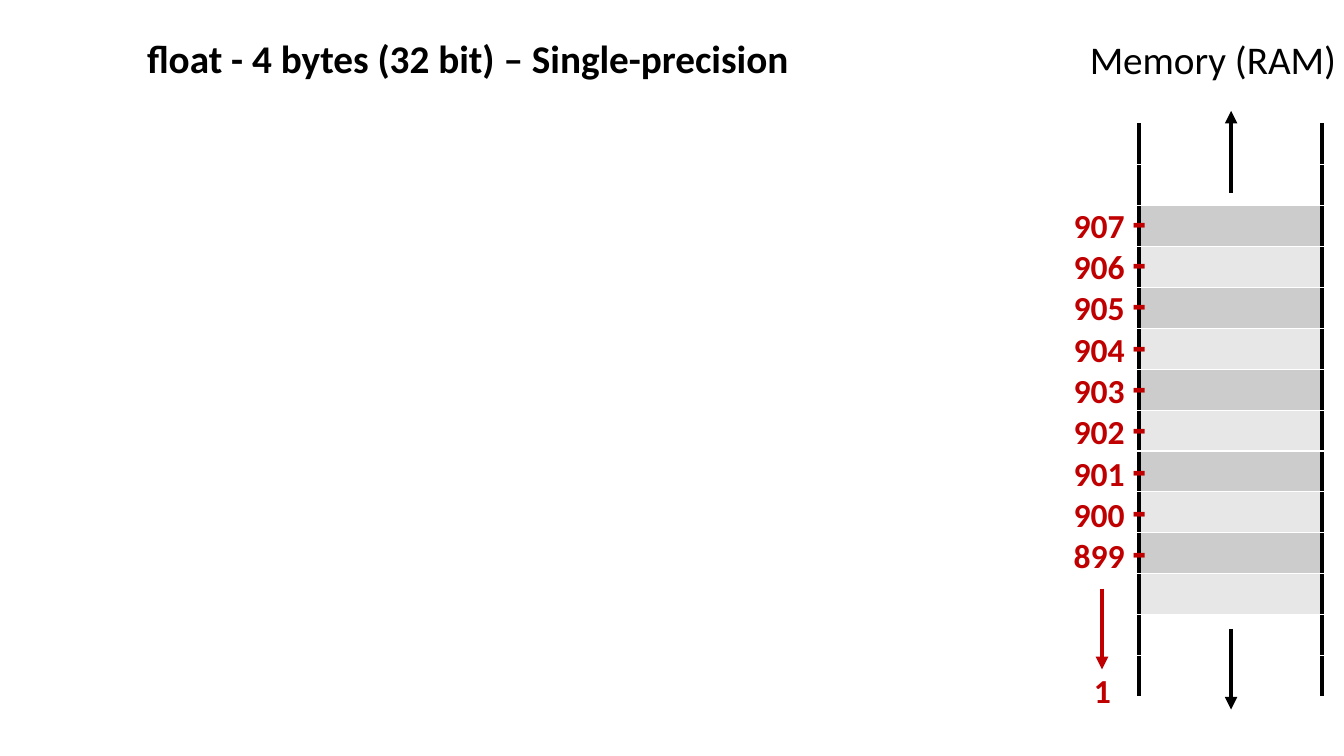
from dataclasses import dataclass

from lxml.etree import SubElement
from pptx import Presentation
from pptx.dml.color import RGBColor
from pptx.enum.shapes import MSO_CONNECTOR
from pptx.enum.text import MSO_AUTO_SIZE
from pptx.oxml import parse_xml
from pptx.oxml.ns import nsdecls, qn
from pptx.util import Inches, Pt


@dataclass(frozen=True)
class Theme:
    font: str = "Calibri"
    ink: str = "000000"
    address: str = "C00000"
    blank: str = "FFFFFF"
    dark_byte: str = "CCCCCC"
    light_byte: str = "E7E7E7"
    title_size: int = 28
    address_size: int = 24
    tick_size: int = 32
    heavy: int = 3
    thin: int = 1


class MemorySlide:
    def __init__(self, slide, theme):
        self.slide = slide
        self.theme = theme

    def label(self, left, top, width, height, parts, color, bold=False):
        """Add one line of text; parts holds (text, size) pairs."""
        box = self.slide.shapes.add_textbox(
            Inches(left), Inches(top), Inches(width), Inches(height))
        frame = box.text_frame
        frame.word_wrap = False
        frame.auto_size = MSO_AUTO_SIZE.SHAPE_TO_FIT_TEXT
        for text, size in parts:
            run = frame.paragraphs[0].add_run()
            run.text = text
            run.font.name = self.theme.font
            run.font.size = Pt(size)
            run.font.bold = bold
            run.font.color.rgb = RGBColor.from_string(color)

    def vertical_arrow(self, x, start, end, color):
        arrow = self.slide.shapes.add_connector(
            MSO_CONNECTOR.STRAIGHT, Inches(x), Inches(start), Inches(x), Inches(end))
        arrow.line.color.rgb = RGBColor.from_string(color)
        arrow.line.width = Pt(self.theme.heavy)
        SubElement(arrow.line._get_or_add_ln(), qn("a:tailEnd"), type="triangle")
        SubElement(arrow._element.spPr, qn("a:effectLst"))

    def memory_column(self, left, top, width, height, fills):
        """Stack one cell per fill, open at the top and the bottom."""
        table = self.slide.shapes.add_table(
            len(fills), 1, Inches(left), Inches(top), Inches(width), Inches(height)).table
        table.first_row = table.horz_banding = False
        for row, fill in zip(table.rows, fills):
            row.height = Inches(height / len(fills))
            cell = row.cells[0]
            cell.margin_top = cell.margin_bottom = 0
            cell.fill.solid()
            cell.fill.fore_color.rgb = RGBColor.from_string(fill)
            self.cell_borders(cell)

    def cell_borders(self, cell):
        theme = self.theme
        wall = (theme.ink, theme.heavy)
        divider = (theme.blank, theme.thin)
        sides = {"lnL": wall, "lnR": wall, "lnT": divider, "lnB": divider}
        properties = cell._tc.get_or_add_tcPr()
        for position, (side, (color, width)) in enumerate(sides.items()):
            properties.insert(position, parse_xml(
                f'<a:{side} {nsdecls("a")} w="{Pt(width)}"><a:solidFill>'
                f'<a:srgbClr val="{color}"/></a:solidFill></a:{side}>'))


def main():
    deck = Presentation()
    deck.slide_width, deck.slide_height = Inches(13.33), Inches(7.5)
    theme = Theme()
    memory = MemorySlide(deck.slides.add_slide(deck.slide_layouts[6]), theme)

    column_top, column_height = 1.23, 5.68
    open_end = [theme.blank] * 2
    byte_fills = [theme.dark_byte, theme.light_byte] * 5
    fills = open_end + byte_fills + open_end
    memory.memory_column(11.3, column_top, 1.81, column_height, fills)
    memory.vertical_arrow(12.21, 1.91, 1.1, theme.ink)
    memory.vertical_arrow(12.21, 6.24, 7.04, theme.ink)
    memory.label(10.71, 0.3, 2.68, 0.57, [("Memory (RAM)", theme.title_size)], theme.ink)

    first_address_top, address_step = 1.87, 0.41
    for index, address in enumerate(range(907, 898, -1)):
        memory.label(10.55, first_address_top + index * address_step, 0.92, 0.64,
                     [(f"{address} ", theme.address_size), ("-", theme.tick_size)],
                     theme.address, bold=True)
    memory.vertical_arrow(10.93, 5.84, 6.64, theme.address)
    memory.label(10.75, 6.6, 0.37, 0.5, [("1", theme.address_size)],
                 theme.address, bold=True)
    memory.label(1.36, 0.29, 6.65, 0.57,
                 [("float - 4 bytes (32 bit) – Single-precision", theme.title_size)],
                 theme.ink, bold=True)

    deck.save("out.pptx")


if __name__ == "__main__":
    main()
